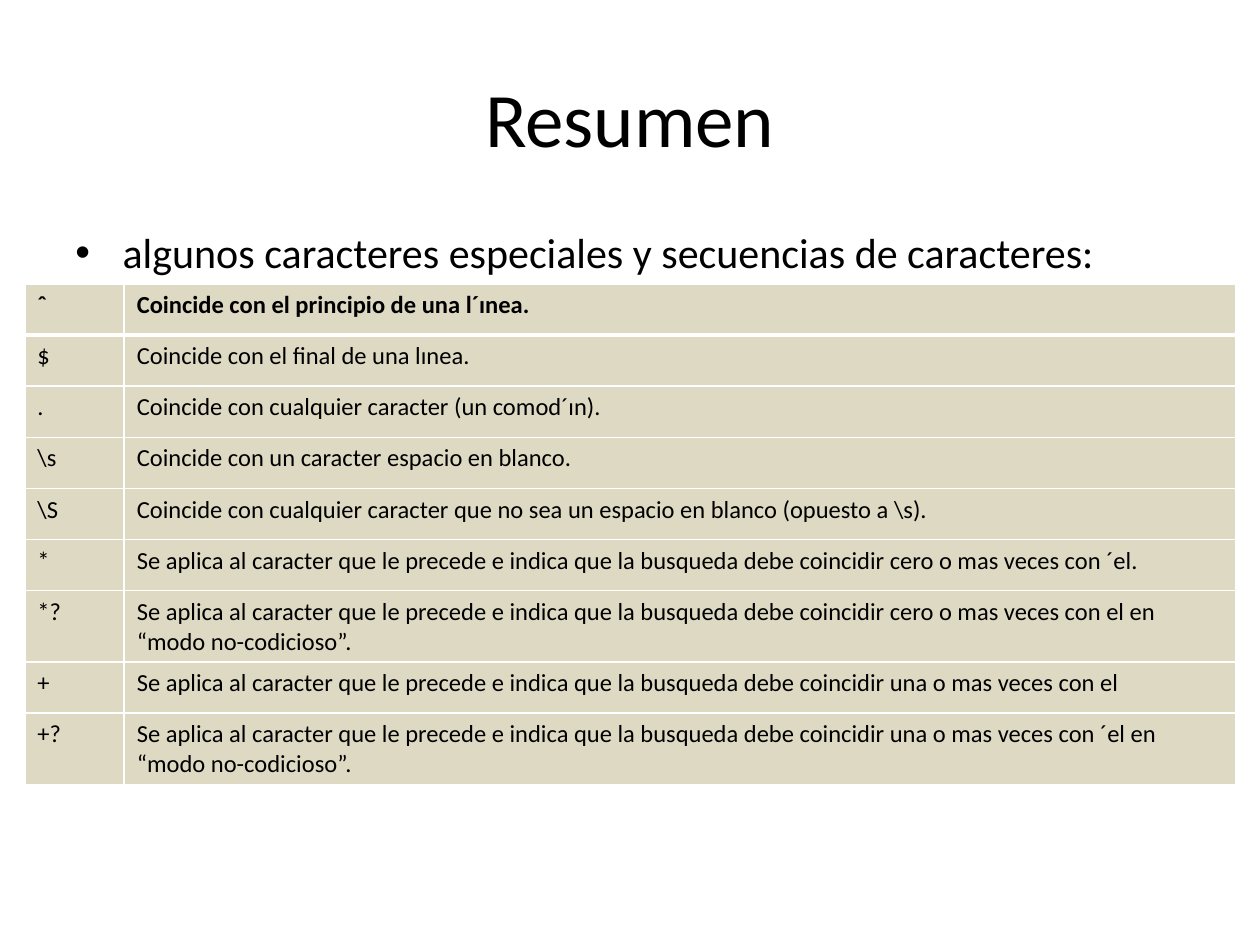
import pptx
import pptx.util
import pptx.dml.color
import pptx.enum.text
import pptx.oxml.ns
import lxml.etree

Pt = pptx.util.Pt
qn = pptx.oxml.ns.qn
Align = pptx.enum.text.PP_ALIGN
Anchor = pptx.enum.text.MSO_ANCHOR
BLACK = pptx.dml.color.RGBColor(0x00, 0x00, 0x00)
WHITE = pptx.dml.color.RGBColor(0xFF, 0xFF, 0xFF)
SAND = pptx.dml.color.RGBColor(0xDD, 0xD9, 0xC3)


class SlideBuilder:
    font = "Calibri"
    color = BLACK

    def __init__(self, slide):
        self.slide = slide

    def add_text_run(self, paragraph, text, size, bold=False):
        run = paragraph.add_run()
        run.text = text
        run.font.name = self.font
        run.font.size = Pt(size)
        run.font.bold = bold
        run.font.color.rgb = self.color

    def text(self, box, text, size, align=Align.LEFT, anchor=Anchor.TOP):
        frame = self.slide.shapes.add_textbox(*map(Pt, box)).text_frame
        frame.word_wrap = True
        frame.vertical_anchor = anchor
        paragraph = frame.paragraphs[0]
        paragraph.alignment = align
        self.add_text_run(paragraph, text, size)
        return paragraph

    def bullet(self, box, text, size, indent):
        properties = self.text(box, text, size)._p.get_or_add_pPr()
        properties.set("marL", str(Pt(indent)))
        properties.set("indent", str(-Pt(indent)))
        lxml.etree.SubElement(properties, qn("a:buFont"), typeface="Arial")
        lxml.etree.SubElement(properties, qn("a:buChar"), char="•")

    def border(self, cell, side, width):
        line = lxml.etree.SubElement(
            cell._tc.get_or_add_tcPr(), qn(f"a:ln{side}"), w=str(Pt(width)))
        fill = lxml.etree.SubElement(line, qn("a:solidFill"))
        lxml.etree.SubElement(fill, qn("a:srgbClr"), val=str(WHITE))

    def table(self, left, top, widths, row_height, rows, size):
        table = self.slide.shapes.add_table(
            len(rows), len(widths), Pt(left), Pt(top),
            Pt(sum(widths)), Pt(row_height * len(rows))).table
        for column, width in zip(table.columns, widths):
            column.width = Pt(width)
        for index, texts in enumerate(rows):
            table.rows[index].height = Pt(row_height)
            for position, text in enumerate(texts):
                cell = table.cell(index, position)
                for side in "LRTB":
                    heavy = (index, side) in ((0, "B"), (1, "T"))
                    self.border(cell, side, 3 if heavy else 1)
                cell.fill.solid()
                cell.fill.fore_color.rgb = SAND
                self.add_text_run(
                    cell.text_frame.paragraphs[0], text, size, index == 0)


APPLIES = ("Se aplica al caracter que le precede e indica que la busqueda "
           "debe coincidir {} o mas veces con {}")
LAZY = " en “modo no-codicioso”."
PATTERNS = [
    ("ˆ", "Coincide con el principio de una l´ınea."),
    ("$", "Coincide con el final de una lınea."),
    (".", "Coincide con cualquier caracter (un comod´ın)."),
    ("\\s", "Coincide con un caracter espacio en blanco."),
    ("\\S", "Coincide con cualquier caracter que no sea un espacio en blanco "
            "(opuesto a \\s)."),
    ("*", APPLIES.format("cero", "´el.")),
    ("*?", APPLIES.format("cero", "el") + LAZY),
    ("+", APPLIES.format("una", "el")),
    ("+?", APPLIES.format("una", "´el") + LAZY),
]

presentation = pptx.Presentation()
presentation.slide_width = Pt(720)
presentation.slide_height = Pt(540)
summary = SlideBuilder(presentation.slides.add_slide(presentation.slide_layouts[6]))
summary.text((36, 21.6, 648, 90), "Resumen", 44, Align.CENTER, Anchor.MIDDLE)
summary.bullet((36, 126, 648, 356.4),
               "algunos caracteres especiales y secuencias de caracteres:", 24, 27)
summary.table(14.2, 162.3, (56.8, 635), 29.2, PATTERNS, 14)
presentation.save("out.pptx")
